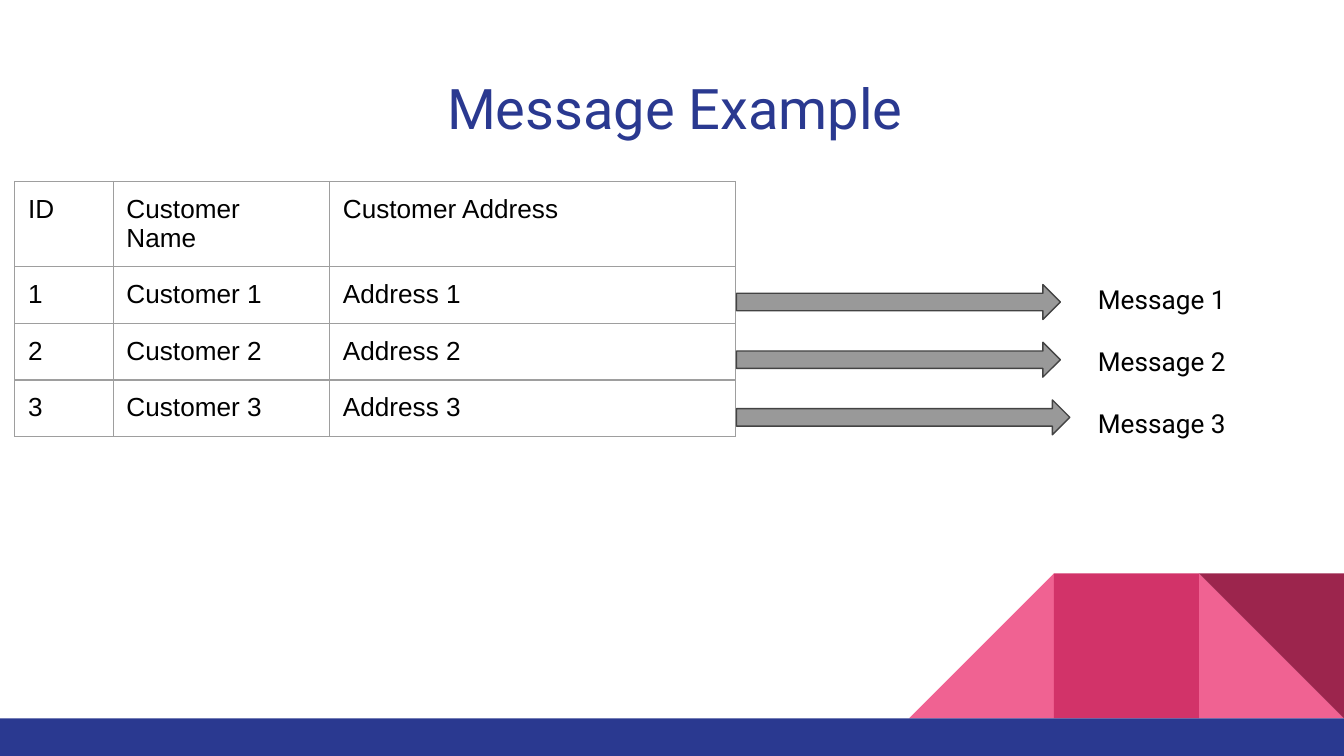
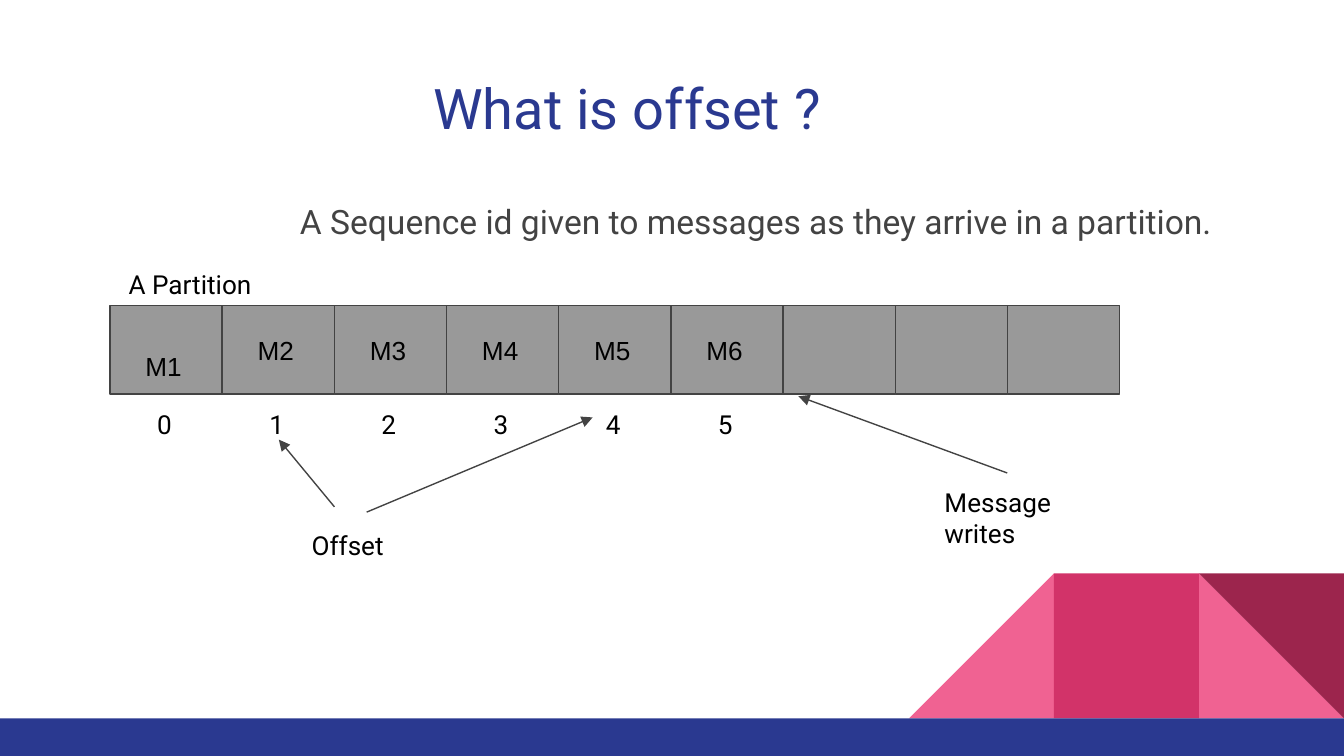
from lxml.etree import SubElement
from pptx import Presentation
from pptx.dml.color import RGBColor
from pptx.enum.shapes import MSO_CONNECTOR as Connector, MSO_SHAPE as Shape
from pptx.enum.text import MSO_ANCHOR as Anchor, MSO_AUTO_SIZE as AutoSize
from pptx.oxml.ns import qn
from pptx.util import Cm, Pt

COLORS = {
    "navy": "2A3990", "pink": "F06292", "rose": "D23369", "wine": "9C254D",
    "gray": "999999", "dark": "434343", "border": "9E9E9E", "black": "000000",
}
INSET = 0.25
WIDTH, HEIGHT = 25.4, 14.29
TILE, BAR_TOP = 2.74, 13.58


def add_shape(slide, kind, box, fill, line=None):
    shape = slide.shapes.add_shape(kind, *map(Cm, box))
    shape.shadow.inherit = False
    shape.fill.solid()
    shape.fill.fore_color.rgb = RGBColor.from_string(COLORS[fill])
    if line:
        shape.line.color.rgb = RGBColor.from_string(COLORS[line])
        shape.line.width = Pt(0.75)
    else:
        shape.line.fill.background()
    return shape


def write(frame, text, size=14, color="black", font="Roboto", left=INSET):
    """Put one paragraph per line of text into the frame and return them."""
    frame.word_wrap = True
    frame.auto_size = AutoSize.NONE
    frame.margin_left = Cm(left)
    frame.margin_top = frame.margin_right = frame.margin_bottom = Cm(INSET)
    for number, words in enumerate(text.split("\n")):
        paragraph = frame.add_paragraph() if number else frame.paragraphs[0]
        run = paragraph.add_run()
        run.text = words
        run.font.name = font
        run.font.size = Pt(size)
        run.font.color.rgb = RGBColor.from_string(COLORS[color])
    return frame.paragraphs


presentation = Presentation()
presentation.slide_width = Cm(WIDTH)
presentation.slide_height = Cm(HEIGHT)

# Shared band, corner tiles and title
slides = []
for title, title_left in (("Message Example", 7.59), ("What is offset ?", 7.33)):
    slide = presentation.slides.add_slide(presentation.slide_layouts[6])
    for kind, column, fill in (
        (Shape.RIGHT_TRIANGLE, 1, "pink"),
        (Shape.RIGHT_TRIANGLE, 3, "pink"),
        (Shape.RECTANGLE, 2, "rose"),
        (Shape.RIGHT_TRIANGLE, 1, "wine"),
    ):
        box = (WIDTH - column * TILE, BAR_TOP - TILE, TILE, TILE)
        tile = add_shape(slide, kind, box, fill)
        if column == 3:
            tile._element.spPr.find(qn("a:xfrm")).set("flipH", "1")
        if fill == "wine":
            tile.rotation = 180
    add_shape(slide, Shape.RECTANGLE, (0, BAR_TOP, WIDTH, HEIGHT - BAR_TOP), "navy")
    title_box = slide.shapes.add_textbox(Cm(0.86), Cm(1.14), Cm(23.67), Cm(1.68))
    write(title_box.text_frame, title, 30, "navy", left=title_left)
    slides.append(slide)
message_slide, offset_slide = slides

# Slide 1: customer table, one message for each row
rows = [("ID", "Customer Name", "Customer Address")]
rows += [(str(i), f"Customer {i}", f"Address {i}") for i in (1, 2, 3)]
column_widths = (1.86, 4.09, 7.67)
row_heights = (1.61, 1.07, 1.07, 1.07)
table = message_slide.shapes.add_table(
    len(rows), len(column_widths), Cm(0.28), Cm(3.43),
    Cm(sum(column_widths)), Cm(sum(row_heights))).table
table.first_row = table.horz_banding = False
for column, width in zip(table.columns, column_widths):
    column.width = Cm(width)
for row, height, texts in zip(table.rows, row_heights, rows):
    row.height = Cm(height)
    for cell, text in zip(row.cells, texts):
        cell.margin_left = cell.margin_right = Cm(INSET)
        cell.margin_top = cell.margin_bottom = Cm(INSET)
        run = cell.text_frame.paragraphs[0].add_run()
        run.text = text
        run.font.name = "Arial"
        run.font.size = Pt(14)
        run.font.color.rgb = RGBColor.from_string(COLORS["black"])
        properties = cell._tc.get_or_add_tcPr()
        for side in ("a:lnL", "a:lnR", "a:lnT", "a:lnB"):
            border = SubElement(properties, qn(side), w=str(Pt(0.75)))
            solid = SubElement(border, qn("a:solidFill"))
            SubElement(solid, qn("a:srgbClr"), val=COLORS["border"])
        cell.fill.background()

for i, length in enumerate((6.12, 6.12, 6.3)):
    box = (13.92, 5.38 + 1.09 * i, length, 0.66)
    add_shape(message_slide, Shape.RIGHT_ARROW, box, "gray", "dark")

messages = message_slide.shapes.add_textbox(Cm(20.5), Cm(5.11), Cm(4.7), Cm(3.61))
paragraphs = write(messages.text_frame, "Message 1\nMessage 2\nMessage 3")
for paragraph in paragraphs[1:]:
    paragraph.space_before = Pt(16.4)

# Slide 2: partition cells with their offsets
definition = offset_slide.shapes.add_textbox(Cm(0.86), Cm(3.43), Cm(23.67), Cm(9.27))
paragraph = write(
    definition.text_frame,
    "A Sequence id given to messages as they arrive in a partition.",
    18, "dark", left=4.81)[0]
paragraph.line_spacing = 1.15
paragraph.space_after = Pt(16)

CELL, CELL_COUNT, FILLED = 2.12, 9, 6
offset_labels = []
for i in range(CELL_COUNT):
    box = (2.08 + CELL * i, 5.77, CELL, 1.68)
    cell = add_shape(offset_slide, Shape.RECTANGLE, box, "gray", "dark")
    if i < FILLED:
        write(cell.text_frame, f"M{i + 1}", font="Arial", left=0.67)[0].alignment = 1
        cell.text_frame.vertical_anchor = Anchor.MIDDLE
        if i == 0:
            cell.text_frame.margin_top = Cm(0.86)
        label = offset_slide.shapes.add_textbox(
            Cm(2.72 + CELL * i), Cm(7.47), Cm(0.86), Cm(0.84))
        write(label.text_frame, str(i))
        offset_labels.append(label)

captions = {}
for text, box in (
    ("A Partition", (2.18, 4.83, 6.65, 0.84)),
    ("Message writes", (17.6, 8.94, 2.87, 0.84)),
    ("Offset", (5.64, 9.75, 2.13, 1.27)),
):
    captions[text] = offset_slide.shapes.add_textbox(*map(Cm, box))
    write(captions[text].text_frame, text)

arrows = []
for ends in (
    (19.04, 8.94, 15.09, 7.49),
    (6.32, 9.58, 5.27, 8.31),
    (6.93, 9.68, 11.2, 7.89),
):
    arrow = offset_slide.shapes.add_connector(Connector.STRAIGHT, *map(Cm, ends))
    arrow.line.color.rgb = RGBColor.from_string(COLORS["dark"])
    arrow.line.width = Pt(0.75)
    SubElement(arrow.line._get_or_add_ln(), qn("a:tailEnd"), type="triangle")
    SubElement(arrow._element.spPr, qn("a:effectLst"))
    arrows.append(arrow)
writes_arrow, second_arrow, fifth_arrow = arrows
writes_arrow.begin_connect(captions["Message writes"], 0)
second_arrow.end_connect(offset_labels[1], 2)
fifth_arrow.end_connect(offset_labels[4], 1)

presentation.save("out.pptx")
